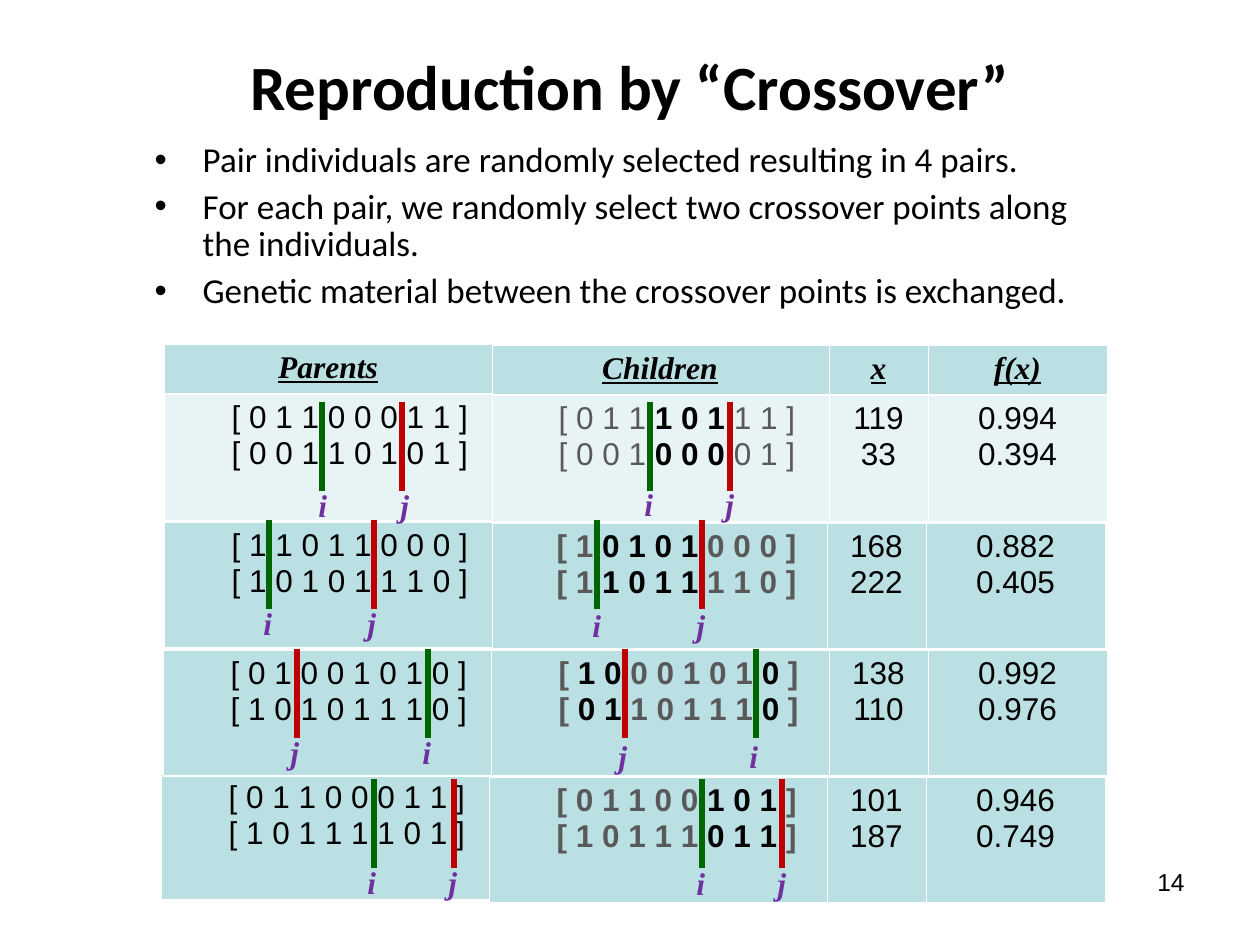
from lxml.etree import SubElement
from pptx import Presentation
from pptx.dml.color import RGBColor
from pptx.enum.text import MSO_ANCHOR, MSO_AUTO_SIZE, PP_ALIGN
from pptx.oxml import parse_xml
from pptx.oxml.ns import nsdecls, qn
from pptx.util import Pt

PX = 914400 / 126
hue = RGBColor.from_string


def box(*sides):
    """Turn px lengths into EMU."""
    return [round(side * PX) for side in sides]


def write(para, text, base, mark=None):
    """Add text as runs; parts between stars take the mark format."""
    for k, part in enumerate(text.split("*")):
        run = para.add_run()
        run.text = part
        look = {**base, **mark} if k % 2 else base
        for name, value in look.items():
            if name == "color":
                run.font.color.rgb = hue(value)
            else:
                setattr(run.font, name, value)


# Text formats
TITLE = dict(name="Calibri", size=Pt(36), bold=True, color="000000")
BODY = dict(name="Calibri", size=Pt(20), color="000000")
HEAD = dict(name="Times New Roman", size=Pt(18), bold=True, italic=True,
            underline=True, color="000000")
PLAIN = dict(name="Arial", size=Pt(18), bold=False, color="000000")
GREY = {**PLAIN, "color": "595959"}
SWAP = dict(bold=True, color="000000")
POINT = {**HEAD, "underline": False, "color": "7030A0"}
PAGE = dict(name="Arial", size=Pt(14), color="000000")
CUT = {"i": "006600", "j": "C00000"}
THIN, THICK = 5715, 18669

deck = Presentation()
deck.slide_width, deck.slide_height = box(1260, 945)
slide = deck.slides.add_slide(deck.slide_layouts[1])
shapes = slide.shapes

# Title
title = shapes.title
title.left, title.top, title.width, title.height = box(63, 6, 1134, 158)
title.text_frame.vertical_anchor = MSO_ANCHOR.MIDDLE
para = title.text_frame.paragraphs[0]
para.alignment = PP_ALIGN.CENTER
write(para, "Reproduction by “Crossover”", TITLE)

# Bullet list
body = slide.placeholders[1]
body.left, body.top, body.width, body.height = box(142, 136, 984, 198)
frame = body.text_frame
frame.auto_size = MSO_AUTO_SIZE.NONE
points = [
    "Pair individuals are randomly selected resulting in 4 pairs.",
    "For each pair, we randomly select two crossover points along the individuals.",
    "Genetic material between the crossover points is exchanged.",
]
for k, text in enumerate(points):
    para = frame.add_paragraph() if k else frame.paragraphs[0]
    props = para._p.get_or_add_pPr()
    indent = box(48)[0]
    props.set("marL", str(indent))
    props.set("indent", str(-indent))
    SubElement(props, qn("a:buChar"), char="•")
    para.line_spacing = 0.9
    para.space_before = Pt(5 if k else 0)
    write(para, text, BODY)

# Pairs: parents, children, x, f(x), one line for each individual
pairs = [
    (["[ 0 1 1 0 0 0 1 1 ]", "[ 0 0 1 1 0 1 0 1 ]"],
     ["[ 0 1 1 *1 0 1 *1 1 ]", "[ 0 0 1 *0 0 0 *0 1 ]"],
     ["119", "33"], ["0.994", "0.394"]),
    (["[ 1 1 0 1 1 0 0 0 ]", "[ 1 0 1 0 1 1 1 0 ]"],
     ["[ 1 *0 1 0 1* 0 0 0 ]", "[ 1 *1 0 1 1 *1 1 0 ]"],
     ["168", "222"], ["0.882", "0.405"]),
    (["[ 0 1 0 0 1 0 1 0 ]", "[ 1 0 1 0 1 1 1 0 ]"],
     ["[ *1 0* 0 0 1 0 1 *0* ]", "[ *0 1 *1 0 1 1 1 *0* ]"],
     ["138", "110"], ["0.992", "0.976"]),
    (["[ 0 1 1 0 0 0 1 1 ]", "[ 1 0 1 1 1 1 0 1 ]"],
     ["[ 0 1 1 0 0 *1 0 1* ]", "[ 1 0 1 1 1 *0 1 1* ]"],
     ["101", "187"], ["0.946", "0.749"]),
]
heads = [["Parents"], ["Children"], ["x"], ["f(x)"]]

# Left and top of each pair's two tables
spots = [
    ((164, 344), (491, 345)),
    ((164, 522), (489, 523)),
    ((163, 650), (491, 650)),
    ((161, 774), (489, 777)),
]

# Tables, children before parents and from the last pair up
for side, first, widths in ((1, 1, [338, 99, 179]), (0, 0, [328])):
    for n in reversed(range(len(pairs))):
        last = first + len(widths)
        grid = [pairs[n][first:last]]
        tall = [126]
        if n == 0:
            grid.insert(0, heads[first:last])
            tall.insert(0, 50)
        table = shapes.add_table(
            len(grid), len(widths),
            *box(*spots[n][side], sum(widths), sum(tall))).table
        table.first_row = table.horz_banding = False
        for col, width in zip(table.columns, box(*widths)):
            col.width = width
        for row, high in zip(table.rows, box(*tall)):
            row.height = high
        for r, line in enumerate(grid):
            for c, texts in enumerate(line):
                cell = table.cell(r, c)
                head = len(texts) == 1
                pale = n == 0 and not head
                cell.fill.solid()
                cell.fill.fore_color.rgb = hue("E7F3F4" if pale else "BBE0E3")
                # White borders
                edges = dict(L=THIN, R=THIN, T=THICK if pale else THIN,
                             B=THIN if pale else THICK)
                props = cell._tc.get_or_add_tcPr()
                for k, (edge, wide) in enumerate(edges.items()):
                    props.insert(k, parse_xml(
                        f'<a:ln{edge} {nsdecls("a")} w="{wide}"><a:solidFill>'
                        f'<a:srgbClr val="FFFFFF"/></a:solidFill></a:ln{edge}>'))
                # Cell text
                look = HEAD if head else PLAIN
                if side and c == 0 and not head:
                    look = {**GREY, "bold": n > 0}
                for k, text in enumerate(texts):
                    frame = cell.text_frame
                    para = frame.add_paragraph() if k else frame.paragraphs[0]
                    if c or head:
                        para.alignment = PP_ALIGN.CENTER
                    else:
                        para.level = 1
                        para._p.get_or_add_pPr().set("marL", str(box(55)[0]))
                    write(para, text, look, SWAP)

# Crossover points: names, line top, line lefts,
# then top and lefts of the labels for parents and children
cuts = [
    ("ij", 402, (322, 402), (480, 306, 388), (479, 632, 713)),
    ("ij", 520, (269, 374), (598, 251, 355), (600, 580, 684)),
    ("ji", 649, (297, 428), (727, 278, 410), (731, 606, 737)),
    ("ij", 779, (374, 454), (857, 355, 436), (858, 684, 765)),
]
for names, top, lefts, *labels in cuts:
    for shift, (low, *marks) in zip((0, 328), labels):
        for name, left, mark in zip(names, lefts, marks):
            x = left + shift
            line = shapes.add_connector(1, *box(x, top, x, top + 89))
            line.line.color.rgb = hue(CUT[name])
            line.line.width = Pt(3)
            SubElement(line._element.spPr, qn("a:effectLst"))
            label = shapes.add_textbox(*box(mark, low, 34, 50)).text_frame
            label.word_wrap = False
            label.auto_size = MSO_AUTO_SIZE.SHAPE_TO_FIT_TEXT
            write(label.paragraphs[0], name, POINT)

# Page number
page = shapes.add_textbox(*box(903, 861, 294, 66)).text_frame
page.word_wrap = True
page.paragraphs[0].alignment = PP_ALIGN.RIGHT
write(page.paragraphs[0], "14", PAGE)

deck.save("out.pptx")
